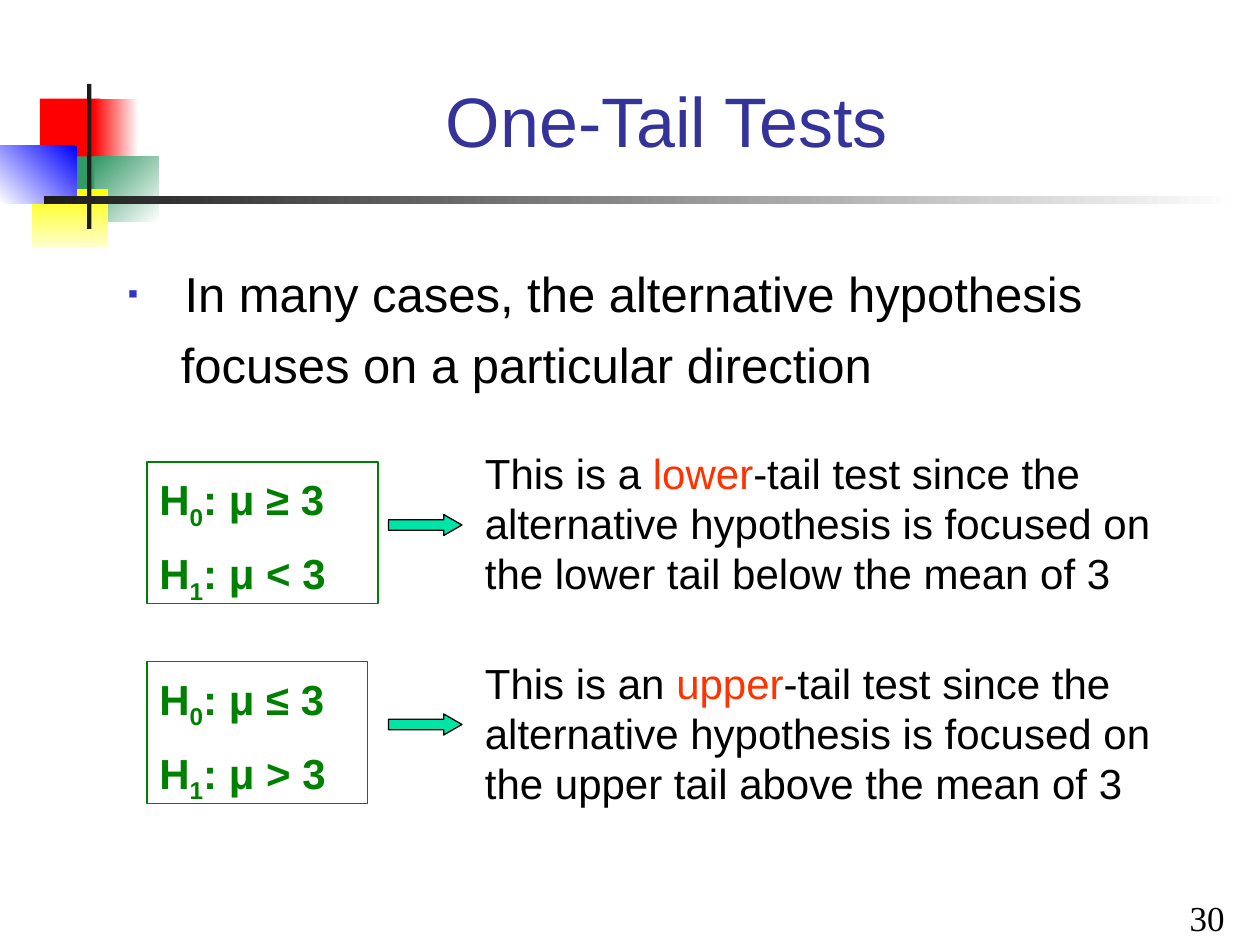
from pptx import Presentation
from pptx.dml.color import RGBColor
from pptx.enum.shapes import MSO_SHAPE
from pptx.enum.text import MSO_ANCHOR, PP_ALIGN
from pptx.oxml import parse_xml
from pptx.oxml.ns import nsdecls
from pptx.util import Inches, Pt

BLACK = RGBColor(0x00, 0x00, 0x00)
WHITE = RGBColor(0xFF, 0xFF, 0xFF)
CHARCOAL = RGBColor(0x1C, 0x1C, 0x1C)
RED = RGBColor(0xFF, 0x00, 0x00)
SEA_GREEN = RGBColor(0x33, 0x99, 0x66)
YELLOW = RGBColor(0xFF, 0xFF, 0x00)
CREAM = RGBColor(0xFF, 0xFF, 0xCC)
BLUE = RGBColor(0x00, 0x00, 0xFF)
INDIGO = RGBColor(0x33, 0x33, 0x99)
DARK_GREEN = RGBColor(0x00, 0x80, 0x00)
ORANGE = RGBColor(0xFF, 0x33, 0x00)
MINT = RGBColor(0x00, 0xE4, 0xA8)

deck = Presentation()
deck.slide_width = Inches(10)
deck.slide_height = Inches(7.5)
page = deck.slides.add_slide(deck.slide_layouts[6])
CELL = deck.slide_width / 120


def place(kind, left, top, width, height):
    shape = page.shapes.add_shape(
        kind, *(round(cells * CELL) for cells in (left, top, width, height)))
    shape.shadow.inherit = False
    shape.fill.background()
    shape.line.fill.background()
    return shape


def write(para, text, size=24, color=BLACK, font="Arial", bold=False, baseline=0):
    span = para.add_run()
    span.text = text
    span.font.size = Pt(size)
    span.font.name = font
    span.font.bold = bold
    span.font.color.rgb = color
    if baseline:
        span._r.get_or_add_rPr().set("baseline", str(baseline * 1000))


decorations = [
    (3.8, 9.4, 5.8, 6.2, RED, RED, 0),
    (8.9, 9.4, 4.3, 6.2, WHITE, RED, 180),
    (9, 14.9, 6.1, 6.2, WHITE, SEA_GREEN, 135),
    (5.2, 14.9, 3.8, 6.2, SEA_GREEN, SEA_GREEN, 0),
    (3, 18, 7.3, 5.5, YELLOW, CREAM, 270),
    (0, 13.9, 7.3, 5.5, BLUE, WHITE, 225),
    (8.3, 8, 0.4, 13.8, CHARCOAL, CHARCOAL, 0),
    (4.2, 18.7, 114.1, 0.7, WHITE, CHARCOAL, 180),
]
for left, top, width, height, start, end, angle in decorations:
    block = place(MSO_SHAPE.RECTANGLE, left, top, width, height)
    if start == end:
        block.fill.solid()
        block.fill.fore_color.rgb = start
    else:
        block.fill.gradient()
        block.fill.gradient_angle = angle
        for stop, color in zip(block.fill.gradient_stops, (start, end)):
            stop.color.rgb = color

frames = {}
for name, left, top, width, height, anchor, align in [
    ("title", 15.1, 3, 96.8, 13, MSO_ANCHOR.BOTTOM, PP_ALIGN.CENTER),
    ("body", 11, 24.5, 99, 14.5, MSO_ANCHOR.TOP, PP_ALIGN.LEFT),
    ("lower hypotheses", 14, 44, 22, 13.5, MSO_ANCHOR.TOP, PP_ALIGN.LEFT),
    ("upper hypotheses", 14, 63, 21, 13.5, MSO_ANCHOR.TOP, PP_ALIGN.LEFT),
    ("lower note", 45, 42, 68, 15.6, MSO_ANCHOR.TOP, PP_ALIGN.LEFT),
    ("upper note", 45, 62, 69, 15.6, MSO_ANCHOR.TOP, PP_ALIGN.LEFT),
    ("number", 89.8, 85.8, 28, 4.2, MSO_ANCHOR.BOTTOM, PP_ALIGN.RIGHT),
]:
    if "hypotheses" in name:
        box = place(MSO_SHAPE.RECTANGLE, left, top, width, height)
        box.line.color.rgb = DARK_GREEN
        box.line.width = Pt(0.75)
    else:
        box = page.shapes.add_textbox(
            *(round(cells * CELL) for cells in (left, top, width, height)))
    frame = box.text_frame
    frame.word_wrap = True
    frame.vertical_anchor = anchor
    frame.paragraphs[0].alignment = align
    frames[name] = frame

write(frames["title"].paragraphs[0], "One-Tail Tests", size=40, color=INDIGO)
write(frames["number"].paragraphs[0], "30", size=20, font="Times New Roman")

first = frames["body"].paragraphs[0]
second = frames["body"].add_paragraph()
for para, text, margin, indent in [
    (first, "In many cases, the alternative hypothesis", 0.45, -0.45),
    (second, "focuses on a particular direction", 0.42, 0),
]:
    para.space_before = Pt(7)
    write(para, text, size=28)
    properties = para._p.get_or_add_pPr()
    properties.set("marL", str(Inches(margin)))
    properties.set("indent", str(Inches(indent)))
for bullet in (
    '<a:buClr %s><a:srgbClr val="3333CC"/></a:buClr>',
    '<a:buSzPct %s val="60000"/>',
    '<a:buFont %s typeface="Arial"/>',
    '<a:buChar %s char="▪"/>',
):
    first._p.get_or_add_pPr().append(parse_xml(bullet % nsdecls("a")))

for tail, article, signs, side, arrow_top in [
    ("lower", "a", "≥<", "below", 49),
    ("upper", "an", "≤>", "above", 68),
]:
    frame = frames[f"{tail} hypotheses"]
    for index, (sign, spacing) in enumerate(zip(signs, (1.1, 0.7))):
        para = frame.add_paragraph() if index else frame.paragraphs[0]
        para.alignment = PP_ALIGN.LEFT
        para.space_before = Pt(15)
        para.line_spacing = spacing
        for text, baseline in (("H", 0), (str(index), -25), (f": μ {sign} 3", 0)):
            write(para, text, color=DARK_GREEN, bold=True, baseline=baseline)

    note = frames[f"{tail} note"].paragraphs[0]
    note.space_before = Pt(15)
    write(note, f"This is {article} ")
    write(note, tail, color=ORANGE)
    write(note, "-tail test since the alternative hypothesis is focused on "
                f"the {tail} tail {side} the mean of 3")

    arrow = place(MSO_SHAPE.RIGHT_ARROW, 37, arrow_top, 7, 2)
    arrow.adjustments[0] = 0.5
    arrow.adjustments[1] = 0.87
    arrow.fill.solid()
    arrow.fill.fore_color.rgb = MINT
    arrow.line.color.rgb = BLACK
    arrow.line.width = Pt(0.75)

deck.save("out.pptx")
